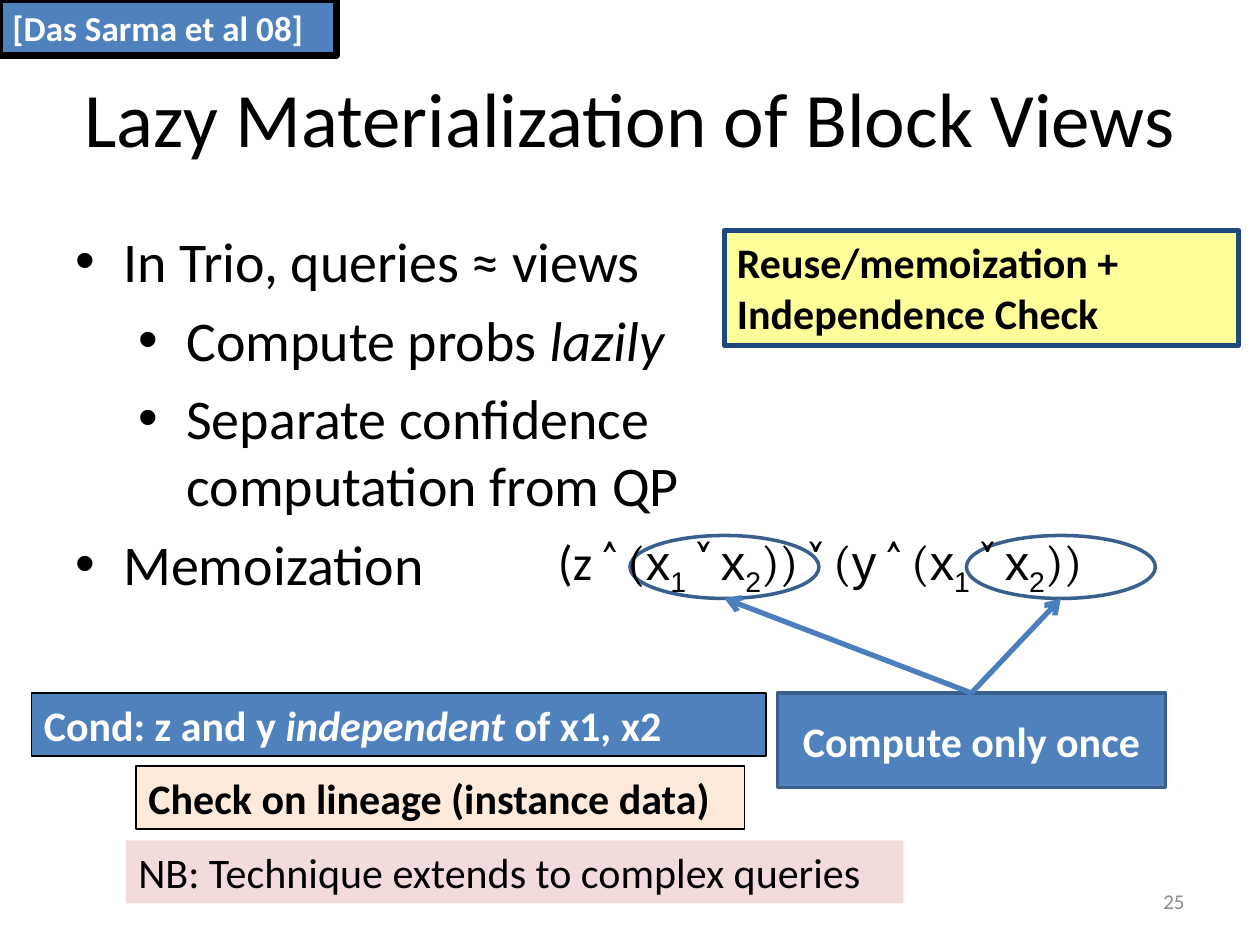
"""Build the slide on lazy materialization of block views."""
from lxml import etree
from pptx import Presentation
from pptx.dml.color import RGBColor
from pptx.enum.shapes import MSO_CONNECTOR, MSO_SHAPE
from pptx.enum.text import MSO_ANCHOR, PP_ALIGN
from pptx.oxml.ns import qn
from pptx.util import Inches, Pt

RECT, OVAL = MSO_SHAPE.RECTANGLE, MSO_SHAPE.OVAL
LINE = MSO_CONNECTOR.STRAIGHT
LEFT, MID, RIGHT = PP_ALIGN.LEFT, PP_ALIGN.CENTER, PP_ALIGN.RIGHT
TOP, CENTER = MSO_ANCHOR.TOP, MSO_ANCHOR.MIDDLE
HEX = {
    "black": "000000", "white": "FFFFFF", "blue": "4F81BD", "edge": "3A5F8C",
    "navy": "1F497D", "yellow": "FFFF99", "peach": "FDEADA", "pink": "F2DCDB",
    "arrow": "4B7EBC", "gray": "8C8C8C",
}
COLOR = {name: RGBColor.from_string(code) for name, code in HEX.items()}


def write(shape, *paras, size=24, color="black", bold=False, align=LEFT,
          anchor=TOP, indents=None, space=0):
    frame = shape.text_frame
    frame.word_wrap = True
    frame.vertical_anchor = anchor
    for i, runs in enumerate(paras):
        para = frame.paragraphs[0] if i == 0 else frame.add_paragraph()
        para.alignment = align
        if indents:
            props = para._p.get_or_add_pPr()
            props.set("marL", str(Inches(indents[i])))
            props.set("indent", str(-Inches(0.38)))
            etree.SubElement(props, qn("a:buFont")).set("typeface", "Arial")
            etree.SubElement(props, qn("a:buChar")).set("char", "•")
        if i:
            para.space_before = Pt(space)
        for text, face, style in runs:
            run = para.add_run()
            run.text = text
            font = run.font
            font.name, font.size, font.bold = face, Pt(size), bold
            font.color.rgb = COLOR[color]
            if style == "italic":
                font.italic = True
            elif style == "sub":
                run._r.get_or_add_rPr().set("baseline", "-25000")


def draw(kind, place, fill=None, edge=None, width=0.75):
    shape = slide.shapes.add_shape(kind, *map(Inches, place))
    shape.shadow.inherit = False
    if fill:
        shape.fill.solid()
        shape.fill.fore_color.rgb = COLOR[fill]
    else:
        shape.fill.background()
    if edge:
        shape.line.color.rgb = COLOR[edge]
        shape.line.width = Pt(width)
    else:
        shape.line.fill.background()
    return shape


deck = Presentation()
deck.slide_width, deck.slide_height = Inches(10), Inches(7.5)
slide = deck.slides.add_slide(deck.slide_layouts[6])

CAL, CAM, ARI = "Calibri", "Cambria", "Arial"
either = [("x", ARI, ""), ("1", ARI, "sub"), (" ˅ ", CAM, ""),
          ("x", ARI, ""), ("2", ARI, "sub")]
formula = [("(z ", CAL, ""), ("˄ (", CAM, ""), *either, (")) ˅ (", CAM, ""),
           ("y", ARI, ""), (" ˄ (", CAM, ""), *either, ("))", CAM, "")]
points = [
    [("In Trio, queries ≈ views", CAL, "")],
    [("Compute probs ", CAL, ""), ("lazily", CAL, "italic")],
    [("Separate confidence computation from QP", CAL, "")],
    [("Memoization", CAL, "")],
]
cond = [("Cond: z and y ", CAL, ""), ("independent", CAL, "italic"),
        (" of x1, x2", CAL, "")]

title = slide.shapes.add_textbox(*map(Inches, (0.5, 0.3, 9, 1.25)))
write(title, [("Lazy Materialization of Block Views", CAL, "")],
      size=44, align=MID, anchor=CENTER)
body = slide.shapes.add_textbox(*map(Inches, (0.5, 1.75, 5.25, 4.95)))
write(body, *points, size=32, indents=(0.38, 0.88, 0.88, 0.38), space=6.4)

cite = draw(RECT, (0, 0, 2.67, 0.44), "blue", "black", 4)
write(cite, [("[Das Sarma et al 08]", CAL, "")], size=20, color="white", bold=True)
reuse = draw(RECT, (5.75, 1.83, 4.08, 0.91), "yellow", "navy", 3)
write(reuse, [("Reuse/memoization + Independence Check", CAL, "")], bold=True)
check = draw(RECT, (1.08, 6.08, 4.83, 0.5), "peach", "black")
write(check, [("Check on lineage (instance data)", CAL, "")], bold=True)
once = draw(RECT, (6.17, 5.5, 3.08, 0.75), "blue", "edge", 2)
write(once, [("Compute only once", CAL, "")], color="white", bold=True,
      align=MID, anchor=CENTER)
for left in (5, 7.67):
    draw(OVAL, (left, 4.25, 1.5, 0.5), edge="edge", width=2)
given = draw(RECT, (0.25, 5.5, 5.83, 0.5), "blue", "black")
write(given, cond, color="white", bold=True)

logic = slide.shapes.add_textbox(*map(Inches, (4.33, 4.17, 5.67, 0.57)))
write(logic, formula, size=28)

for left in (5, 7.67):
    arrow = slide.shapes.add_connector(
        LINE, *map(Inches, (7.71, 5.5, left + 0.75, 4.75)))
    arrow.begin_connect(once, 0)
    arrow.line.color.rgb = COLOR["arrow"]
    arrow.line.width = Pt(3)
    etree.SubElement(arrow.line._get_or_add_ln(), qn("a:tailEnd")).set("type", "arrow")
    etree.SubElement(arrow._element.spPr, qn("a:effectLst"))

note = draw(RECT, (1, 6.67, 6.17, 0.5), "pink")
write(note, [("NB: Technique extends to complex queries", CAL, "")])
number = slide.shapes.add_textbox(*map(Inches, (7.17, 6.95, 2.33, 0.4)))
write(number, [("25", CAL, "")], size=12, color="gray", align=RIGHT, anchor=CENTER)

deck.save("out.pptx")
